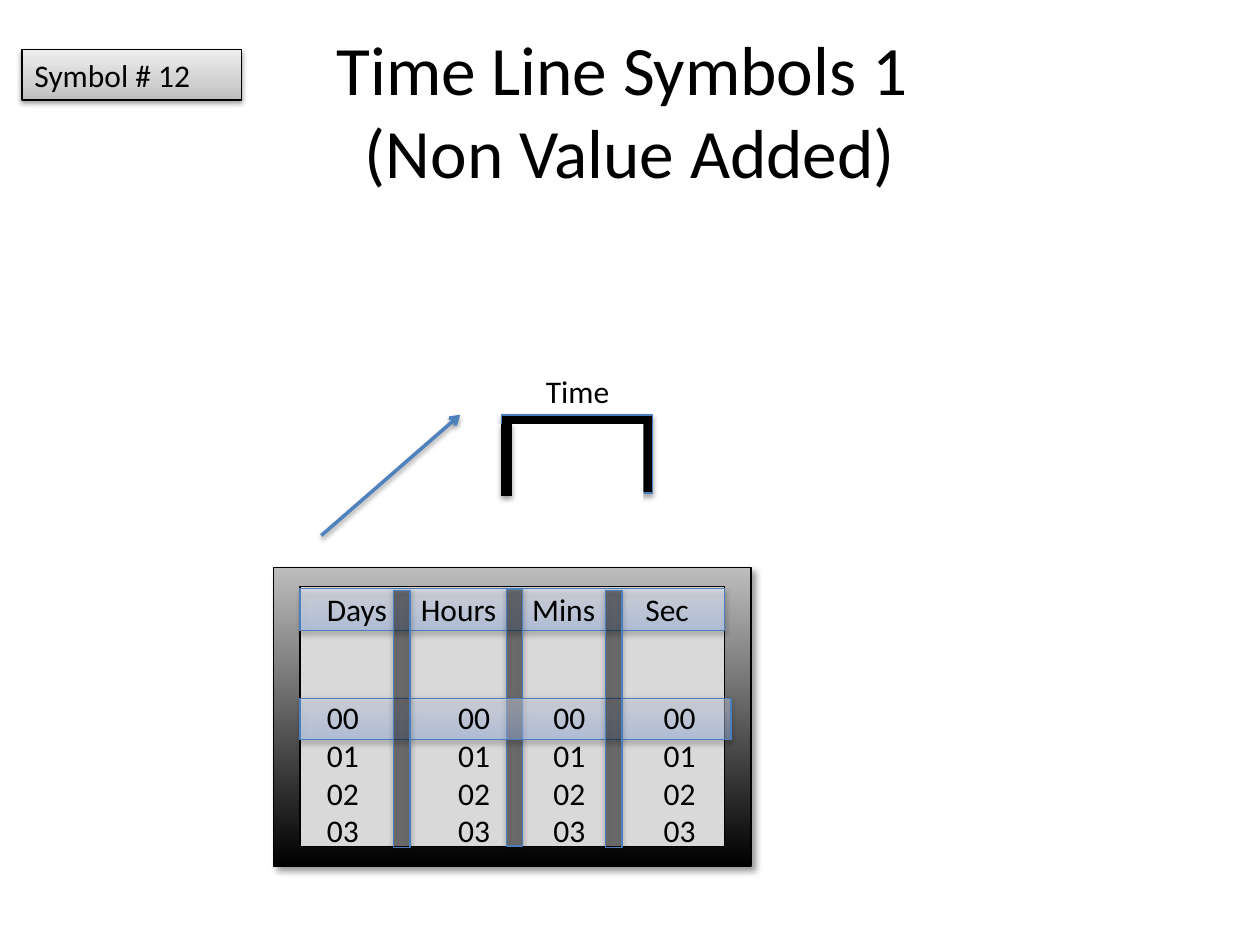
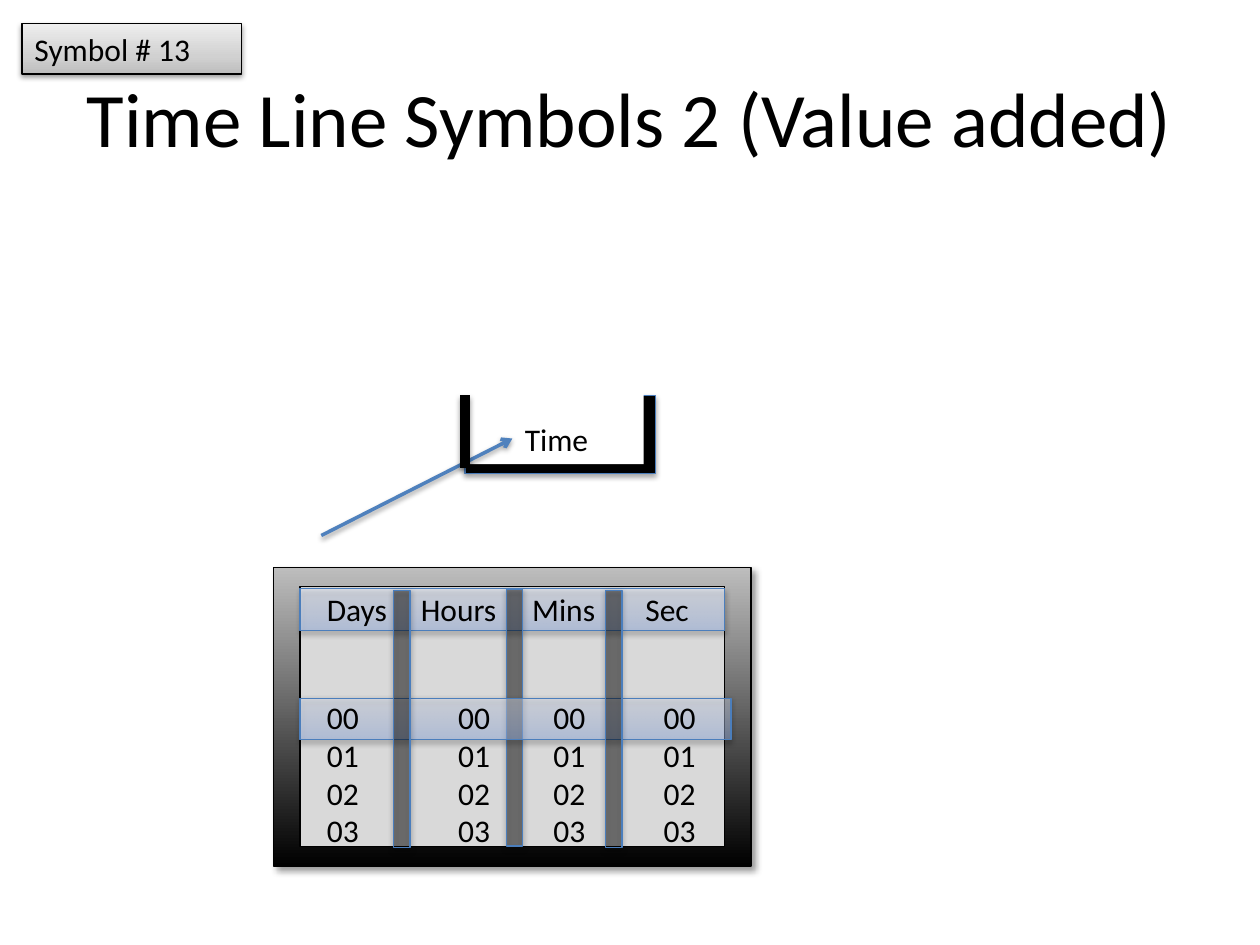
from lxml.etree import SubElement
from pptx import Presentation
from pptx.dml.color import RGBColor
from pptx.enum.shapes import MSO_CONNECTOR, MSO_SHAPE
from pptx.enum.text import MSO_ANCHOR, MSO_AUTO_SIZE, PP_ALIGN
from pptx.oxml.ns import qn
from pptx.util import Pt

FONT = "Calibri"
BLACK, WHITE, SCREEN = "000000", "FFFFFF", "D9D9D9"
EDGE, ARROW = "4B7EBC", "4F81BD"

# Gradients are lists of (position %, colour, opacity %), from bottom to top
FRAME_FILL = [(0, BLACK, 100), (100, "BDBDBD", 100)]
BAND_FILL = [(0, "A4C4FF", 42), (35, "BFD4FF", 42), (100, "E6EEFF", 42)]
TAG_FILL = [(0, "BDBDBD", 100), (35, "D1D1D1", 100), (100, "EEEEEE", 100)]
BAR_FILL = [(0, BLACK, 42), (100, BLACK, 42)]

# Shadows: opacity %, blur, distance, direction in degrees
SOFT = (38, 3.1, 1.6, 90)
MARKER_SHADOW = (35, 3.1, 1.8, 90)
FRAME_SHADOW = (40, 4, 3, 45)

# Time picker texts: left margin, and tab stops counted from it
PICKER_MARGIN = 15.3
HEADER_STOPS = (53.7, 117.3, 182)
VALUE_STOPS = (75, 129.5, 192.5)


def color(hex_text):
    return RGBColor.from_string(hex_text)


def apply(target, formats):
    for name, value in formats.items():
        setattr(target, name, value)


def add_color(parent, hex_text, opacity):
    node = SubElement(parent, qn("a:srgbClr"), val=hex_text)
    if opacity < 100:
        SubElement(node, qn("a:alpha"), val=str(opacity * 1000))


def set_fill(shape, fill):
    """Plain colour for a string, vertical gradient for a list of stops."""
    if isinstance(fill, str):
        shape.fill.solid()
        shape.fill.fore_color.rgb = color(fill)
        return
    gradient = SubElement(shape.element.spPr, qn("a:gradFill"), rotWithShape="1")
    stops = SubElement(gradient, qn("a:gsLst"))
    for position, hex_text, opacity in fill:
        stop = SubElement(stops, qn("a:gs"), pos=str(position * 1000))
        add_color(stop, hex_text, opacity)
    SubElement(gradient, qn("a:lin"), ang=str(270 * 60000), scaled="0")


def set_shadow(shape, shadow):
    effects = SubElement(shape.element.spPr, qn("a:effectLst"))
    if shadow:
        opacity, blur, distance, direction = shadow
        outer = SubElement(effects, qn("a:outerShdw"), blurRad=str(Pt(blur)),
                           dist=str(Pt(distance)), dir=str(direction * 60000),
                           rotWithShape="0")
        add_color(outer, BLACK, opacity)


def add_box(page, place, fill, edge=None, shadow=None, rotation=0):
    box = page.shapes.add_shape(MSO_SHAPE.RECTANGLE, *map(Pt, place))
    box.rotation = rotation
    set_fill(box, fill)
    if edge:
        box.line.color.rgb = color(edge)
        box.line.width = Pt(0.75)
    else:
        box.line.fill.background()
    set_shadow(box, shadow)
    return box


def add_line(page, start, end, hex_text, width, arrow=False):
    line = page.shapes.add_connector(MSO_CONNECTOR.STRAIGHT,
                                     *map(Pt, (*start, *end)))
    line.line.color.rgb = color(hex_text)
    line.line.width = Pt(width)
    if arrow:
        outline = line.element.spPr.find(qn("a:ln"))
        SubElement(outline, qn("a:tailEnd"), type="arrow")
    set_shadow(line, SOFT)


def write(shape, lines, size=18, align=None, stops=(), **frame_formats):
    frame = shape.text_frame
    apply(frame, {"word_wrap": True, "auto_size": MSO_AUTO_SIZE.NONE,
                  "vertical_anchor": MSO_ANCHOR.TOP, **frame_formats})
    frame.text = "\n".join(lines)
    for para in frame.paragraphs:
        para.alignment = align or PP_ALIGN.LEFT
        if stops:
            tabs = SubElement(para._p.get_or_add_pPr(), qn("a:tabLst"))
            for stop in stops:
                SubElement(tabs, qn("a:tab"), pos=str(Pt(stop)), algn="l")
        for span in para.runs:
            apply(span.font, {"name": FONT, "size": Pt(size)})
            span.font.color.rgb = color(BLACK)


def add_text(page, place, lines, **formats):
    write(page.shapes.add_textbox(*map(Pt, place)), lines, **formats)


def add_title(page, top, text, size, **formats):
    title = page.shapes.title
    apply(title, {"left": Pt(36), "top": Pt(top),
                  "width": Pt(648), "height": Pt(90)})
    write(title, [text], size, PP_ALIGN.CENTER,
          vertical_anchor=MSO_ANCHOR.MIDDLE, **formats)


def add_marker(page, black_place, white_place, label_place):
    """Bracket: a white rectangle covers part of a black one."""
    add_box(page, black_place, BLACK, EDGE, MARKER_SHADOW)
    add_box(page, white_place, WHITE)
    add_text(page, label_place, ["Time"], word_wrap=False)


def add_bar(page, left, top):
    add_box(page, (left, top, 146.9, 9.4), BAR_FILL, EDGE, SOFT, rotation=90)


def add_picker_text(page, place, lines, stops):
    add_text(page, place, lines, stops=stops, margin_left=Pt(PICKER_MARGIN))


def add_time_picker(page):
    left, width = 171.5, 242.6
    # Frame, screen and header band
    add_box(page, (156.3, 324.3, 272.9, 170.6), FRAME_FILL, BLACK, FRAME_SHADOW)
    add_box(page, (left, 335.3, width, 148.3), SCREEN, BLACK)
    add_box(page, (left, 336.4, width, 23.8), BAND_FILL, EDGE, SOFT)
    # Selected row, values and column bars
    add_bar(page, 220.5, 405.4)
    add_box(page, (left, 399, 246.2, 23.8), BAND_FILL, EDGE, SOFT)
    rows = ["\t".join([f"{number:02}"] * 4) for number in range(4)]
    add_picker_text(page, (left, 395.3, width, 94.3), rows, VALUE_STOPS)
    add_bar(page, 277.2, 406.1)
    add_picker_text(page, (left, 333.4, 247, 28.8),
                    ["Days\tHours\tMins\tSec"], HEADER_STOPS)
    add_bar(page, 156.2, 406.1)


def add_tag(page, top, number):
    tag = add_box(page, (12.6, top, 125.3, 28.8), TAG_FILL, BLACK, SOFT)
    write(tag, [f"Symbol # {number}"])


def add_pointer_and_leg(page, target, leg_left, leg_top):
    add_line(page, (183.6, 306), target, ARROW, 2, arrow=True)
    add_line(page, (leg_left, leg_top + 41.6), (leg_left, leg_top), BLACK, 6)


def main():
    deck = Presentation()
    deck.slide_width, deck.slide_height = Pt(720), Pt(540)
    layout = deck.slide_layouts[5]

    # Non value added time: bracket open below
    page = deck.slides.add_slide(layout)
    add_title(page, 41, "Time Line Symbols 1 \v(Non Value Added)", 39.6,
              margin_bottom=Pt(51))
    add_marker(page, (286.4, 237.1, 86.4, 44.6), (272, 242.3, 95.6, 44.6),
               (304.8, 208.8, 51.1, 28.8))
    add_time_picker(page)
    add_pointer_and_leg(page, (263, 237), 289.4, 242.1)
    add_tag(page, 28.4, 12)

    # Value added time: bracket open above
    page = deck.slides.add_slide(layout)
    add_title(page, 21.6, "Time Line Symbols 2 (Value added)", 44)
    add_marker(page, (265.7, 226.1, 108.7, 44.6), (247.7, 220.6, 120.2, 44.6),
               (292.8, 236.2, 51.1, 28.8))
    add_time_picker(page)
    add_pointer_and_leg(page, (292.8, 250.6), 265.7, 225.8)
    add_tag(page, 13.5, 13)

    deck.save("out.pptx")


if __name__ == "__main__":
    main()
